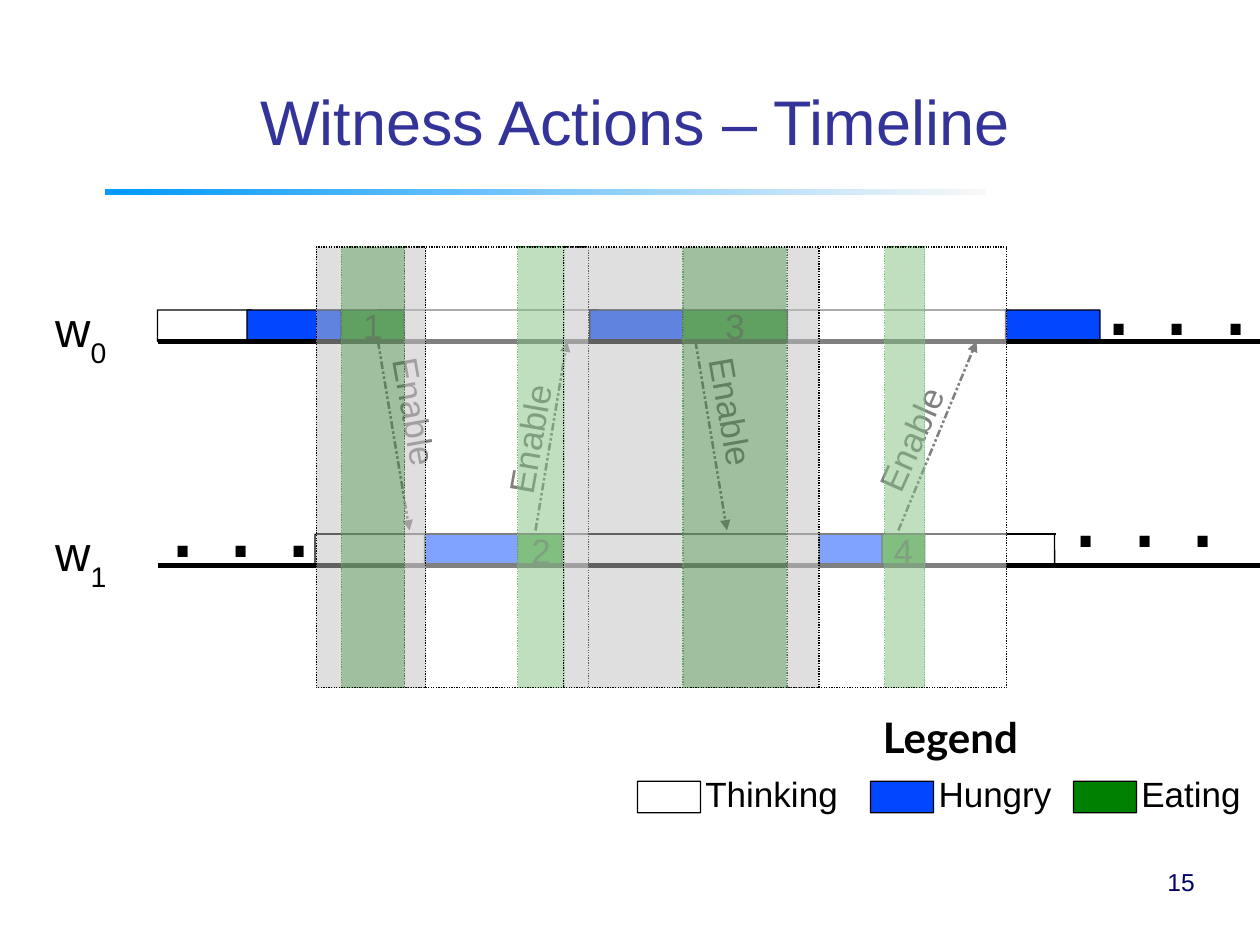
from lxml.etree import SubElement
from pptx import Presentation
from pptx.dml.color import RGBColor
from pptx.enum.dml import MSO_LINE
from pptx.enum.shapes import MSO_CONNECTOR, MSO_SHAPE
from pptx.enum.text import MSO_ANCHOR, MSO_AUTO_SIZE, PP_ALIGN
from pptx.oxml.ns import qn
from pptx.util import Inches, Pt

WHITE = RGBColor(0xFF, 0xFF, 0xFF)
BLACK = RGBColor(0x00, 0x00, 0x00)
BLUE = RGBColor(0x00, 0x47, 0xFF)
GREEN = RGBColor(0x00, 0x80, 0x00)
SILVER = RGBColor(0xC0, 0xC0, 0xC0)
TITLE = RGBColor(0x33, 0x33, 0x99)
NAVY = RGBColor(0x00, 0x00, 0x66)
RULE_START = RGBColor(0x00, 0x99, 0xFF)
RULE_END = RGBColor(0xF8, 0xF8, 0xF8)

STATES = {"Thinking": WHITE, "Hungry": BLUE, "Eating": GREEN}
BAR_H = 0.25

# Positions below are in inches from the corner of the timeline.
# Each lane: subscript, bar top, bars as (state, left, width, number)
LANES = [
    ("0", 0.5, [
        ("Thinking", 0, 0.75, ""), ("Hungry", 0.71, 0.75, ""),
        ("Thinking", 1.75, 1.75, ""), ("Eating", 1.46, 0.5, "1"),
        ("Thinking", 4.97, 1.78, ""), ("Hungry", 3.43, 0.75, ""),
        ("Eating", 4.17, 0.83, "3"), ("Hungry", 6.73, 0.75, "")]),
    ("1", 2.28, [
        ("Thinking", 6, 1.12, ""), ("Thinking", 1.25, 1, ""),
        ("Hungry", 2.12, 0.75, ""), ("Eating", 2.86, 0.37, "2"),
        ("Thinking", 3.21, 2.29, ""), ("Hungry", 5.25, 0.75, ""),
        ("Eating", 5.75, 0.34, "4")]),
]
# Arrow start x, end x, whether it points down, label left, label top, rotation
MESSAGES = [
    (1.75, 2, True, 1.51, 1.1, 80),
    (3, 3.25, False, 2.41, 1.3, 280),
    (4.27, 4.52, True, 4.02, 1.1, 80),
    (5.88, 6.5, False, 5.44, 1.3, 294),
]
DOTS = [(-0.01, 1.58), (7.16, 1.5), (7.42, -0.18)]
# Band left, width, fill, line
BANDS = [
    (2.86, 0.37, GREEN, GREEN), (1.46, 0.5, GREEN, GREEN),
    (4.17, 0.82, GREEN, GREEN), (5.77, 0.32, GREEN, GREEN),
    (1.96, 1.46, WHITE, BLACK), (5, 1.74, WHITE, BLACK),
    (1.26, 0.87, SILVER, BLACK), (3.22, 2.03, SILVER, BLACK),
]


def add_run(p, text, color=BLACK, **font):
    r = p.add_run()
    r.text = text
    for name, value in ({"name": "Arial", "size": Pt(20)} | font).items():
        setattr(r.font, name, value)
    r.font.color.rgb = color
    return r


def add_text(s, x, y, w, h, text, color=BLACK, **font):
    sp = s.shapes.add_textbox(Inches(x), Inches(y), Inches(w), Inches(h))
    sp.text_frame.word_wrap = False
    add_run(sp.text_frame.paragraphs[0], text, color, **font)
    return sp


def add_box(s, kind, x, y, w, h, fill, line=BLACK):
    sp = s.shapes.add_shape(kind, Inches(x), Inches(y), Inches(w), Inches(h))
    sp.shadow.inherit = False
    sp.fill.solid()
    sp.fill.fore_color.rgb = fill
    sp.line.color.rgb = line
    sp.line.width = Pt(0.75)
    return sp


def add_bar(s, x, y, w, state, number=""):
    sp = add_box(s, MSO_SHAPE.ROUNDED_RECTANGLE, x, y, w, BAR_H, STATES[state])
    sp.adjustments[0] = 0.007
    if number:
        tf = sp.text_frame
        tf.word_wrap = False
        tf.vertical_anchor = MSO_ANCHOR.MIDDLE
        tf.paragraphs[0].alignment = PP_ALIGN.CENTER
        add_run(tf.paragraphs[0], number)


def add_line(s, x1, y1, x2, y2, width):
    c = s.shapes.add_connector(MSO_CONNECTOR.STRAIGHT, Inches(x1), Inches(y1),
                               Inches(x2), Inches(y2))
    c.line.color.rgb = BLACK
    c.line.width = Pt(width)
    SubElement(c._element.spPr, qn("a:effectLst"))
    return c


def add_arrow(s, x1, y1, x2, y2):
    ln = add_line(s, x1, y1, x2, y2, 1.45).line._get_or_add_ln()
    SubElement(ln, qn("a:prstDash"), val="sysDashDotDot")
    SubElement(ln, qn("a:tailEnd"), type="triangle")


def add_band(s, x, y, w, h, fill, line):
    """Half-transparent column with a dotted outline."""
    sp = add_box(s, MSO_SHAPE.RECTANGLE, x, y, w, h, fill, line)
    sp.line.dash_style = MSO_LINE.ROUND_DOT
    color = sp._element.spPr.find(qn("a:solidFill")).find(qn("a:srgbClr"))
    SubElement(color, qn("a:alpha"), val="50000")


def add_title(s, x, y, w, h):
    sp = s.shapes.title
    box = {"left": x, "top": y, "width": w, "height": h}
    for name, value in box.items():
        setattr(sp, name, Inches(value))
    tf = sp.text_frame
    frame = {"auto_size": MSO_AUTO_SIZE.NONE, "word_wrap": True,
             "vertical_anchor": MSO_ANCHOR.BOTTOM, "margin_top": Inches(0.09)}
    for name, value in frame.items():
        setattr(tf, name, value)
    p = tf.paragraphs[0]
    p.alignment = PP_ALIGN.CENTER
    p.line_spacing = 0.93
    add_run(p, "Witness Actions – Timeline", TITLE, size=Pt(36))


def add_title_rule(s, x, y, w, h):
    sp = add_box(s, MSO_SHAPE.RECTANGLE, x, y, w, h, RULE_START)
    sp.line.fill.background()
    sp.fill.gradient()
    sp.fill.gradient_angle = 0
    for stop, color in zip(sp.fill.gradient_stops, (RULE_START, RULE_END)):
        stop.color.rgb = color


def add_timeline(s, x, y, w, h):
    for subscript, top, bars in LANES:
        label = add_text(s, x - 0.91, y + top - 0.14, 0.8, 0.53, "w", size=Pt(28))
        r = add_run(label.text_frame.paragraphs[0], subscript, size=Pt(28))
        r.font._element.set("baseline", "-33000")
        for state, left, width, number in bars:
            add_bar(s, x + left, y + top, width, state, number)
        axis = y + top + BAR_H
        add_line(s, x, axis, x + w, axis, 2.89)
    for left, top in DOTS:
        add_text(s, x + left, y + top, 1.36, 1.1, ". . .", size=Pt(60))
    for x1, x2, down, left, top, rotation in MESSAGES:
        start, end = (0.75, 2.25) if down else (2.25, 0.75)
        add_arrow(s, x + x1, y + start, x + x2, y + end)
        label = add_text(s, x + left, y + top, 1.08, 0.43, "Enable")
        label.rotation = rotation
    add_line(s, x + 1.26, y + 2.28, x + 7.13, y + 2.28, 1.45)
    for left, width, fill, line in BANDS:
        add_band(s, x + left, y, width, h, fill, line)


def add_legend(s, x, y):
    add_text(s, x + 1.85, y, 1.5, 0.5, "Legend", name="Lato", size=Pt(24), bold=True)
    for state, left, width in zip(STATES, (0, 1.85, 3.46), (1.3, 1.15, 1.04)):
        add_bar(s, x + left, y + 0.6, 0.5, state)
        add_text(s, x + left + 0.44, y + 0.48, width, 0.43, state)


def add_slide_number(s, x, y, w, h):
    tf = add_text(s, x, y, w, h, "15", NAVY, size=Pt(14)).text_frame
    tf.word_wrap = True
    tf.vertical_anchor = MSO_ANCHOR.MIDDLE
    tf.paragraphs[0].alignment = PP_ALIGN.RIGHT


def main():
    prs = Presentation()
    prs.slide_width, prs.slide_height = Inches(10), Inches(7.5)
    s = prs.slides.add_slide(prs.slide_layouts[5])
    add_title_rule(s, 0.83, 1.5, 7, 0.05)
    add_title(s, 0.67, 0.41, 8.74, 0.91)
    add_timeline(s, 1.25, 1.96, 8.75, 3.5)
    add_legend(s, 5.06, 5.6)
    add_slide_number(s, 7.5, 6.75, 2.08, 0.5)
    prs.save("out.pptx")


if __name__ == "__main__":
    main()
